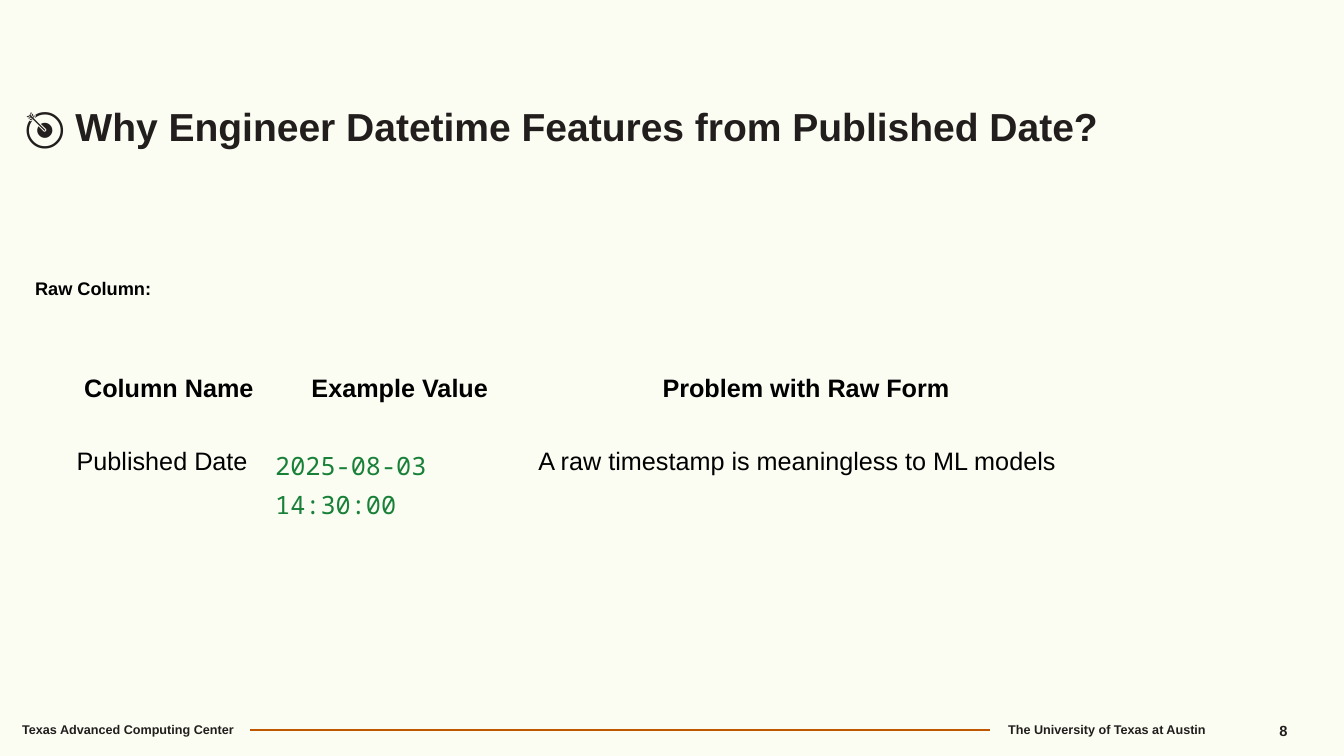
from dataclasses import dataclass

from lxml import etree
from pptx import Presentation
from pptx import util as u
from pptx.dml.color import RGBColor
from pptx.enum import shapes, text
from pptx.oxml import ns


@dataclass(frozen=True)
class Theme:
    background: str = "FBFDF2"
    ink: str = "221E1D"
    black: str = "000000"
    code: str = "188038"
    accent: str = "BF5700"
    font: str = "Arial"
    mono: str = "Noto Sans Mono"
    title_size: float = 27.9
    table_size: float = 18
    label_size: float = 13
    number_size: float = 10.5
    footer_size: float = 9


THEME = Theme()
NO_GRID_STYLE = "{2D5ABB26-0587-4C30-8999-92F81FD0307C}"


def write(frame, words, size, color, bold=True, font=THEME.font,
          align=text.PP_ALIGN.LEFT, spacing=1.0, before=0, after=0):
    """Fill a text frame with one formatted paragraph."""
    frame.text = words
    para = frame.paragraphs[0]
    para.alignment = align
    para.line_spacing = spacing
    para.space_before, para.space_after = u.Pt(before), u.Pt(after)
    for span in para.runs:
        span.font.name = font
        span.font.size = u.Pt(size)
        span.font.bold = bold
        span.font.color.rgb = RGBColor.from_string(color)


def set_frame(frame, insets, anchor):
    frame.word_wrap = True
    frame.auto_size = text.MSO_AUTO_SIZE.NONE
    frame.vertical_anchor = anchor
    (frame.margin_left, frame.margin_top,
     frame.margin_right, frame.margin_bottom) = map(u.Inches, insets)


def add_title(page, words):
    title = page.shapes.title
    title.left, title.top = u.Inches(0.25), u.Inches(0.63)
    title.width, title.height = u.Inches(11.33), u.Inches(1.33)
    set_frame(title.text_frame, (0, 0.05, 0.1, 0.48), text.MSO_ANCHOR.BOTTOM)
    write(title.text_frame, words, THEME.title_size, THEME.ink, before=10)


def add_label(page, words, place, size, color, insets=(0, 0, 0, 0),
              anchor=text.MSO_ANCHOR.MIDDLE, **style):
    box = page.shapes.add_textbox(*map(u.Inches, place))
    set_frame(box.text_frame, insets, anchor)
    write(box.text_frame, words, size, color, **style)


def add_rule(page, left, right, top):
    line = page.shapes.add_connector(
        shapes.MSO_CONNECTOR.STRAIGHT,
        u.Inches(left), u.Inches(top), u.Inches(right), u.Inches(top))
    line.line.color.rgb = RGBColor.from_string(THEME.accent)
    line.line.width = u.Pt(1.25)
    etree.SubElement(line._element.spPr, ns.qn("a:effectLst"))


def add_table(page, rows, left, top, widths, heights):
    """Add a table without grid: centred bold header, plain body."""
    frame = page.shapes.add_table(
        len(rows), len(widths), u.Inches(left), u.Inches(top),
        u.Inches(sum(widths)), u.Inches(sum(heights)))
    table = frame.table
    table.horz_banding = False
    table._tbl.tblPr.find(ns.qn("a:tableStyleId")).text = NO_GRID_STYLE
    for column, width in zip(table.columns, widths):
        column.width = u.Inches(width)
    for row, height in zip(table.rows, heights):
        row.height = u.Inches(height)

    for r, values in enumerate(rows):
        header = r == 0
        for c, value in enumerate(values):
            cell = table.cell(r, c)
            cell.fill.background()
            cell.margin_left = cell.margin_right = u.Inches(0.07)
            cell.margin_top = cell.margin_bottom = u.Inches(0.07)
            timestamp = c == 1 and not header
            write(cell.text_frame, value, THEME.table_size,
                  THEME.code if timestamp else THEME.black, bold=header,
                  font=THEME.mono if timestamp else THEME.font,
                  align=text.PP_ALIGN.CENTER if header else text.PP_ALIGN.LEFT,
                  spacing=1.15)


def add_footer(page):
    add_label(page, "Texas Advanced Computing Center", (0.22, 7.14, 2.52, 0.17),
              THEME.footer_size, THEME.ink, spacing=1.1)
    add_rule(page, 2.48, 9.82, 7.24)
    add_label(page, "The University of Texas at Austin", (10, 7.15, 2.06, 0.15),
              THEME.footer_size, THEME.ink, spacing=1.1)
    add_label(page, "8", (12.59, 7.09, 0.52, 0.3), THEME.number_size, THEME.ink,
              insets=(0.1, 0.05, 0.1, 0.05), anchor=text.MSO_ANCHOR.TOP,
              spacing=1.1)


def main():
    deck = Presentation()
    deck.slide_width, deck.slide_height = u.Inches(13.33), u.Inches(7.5)
    page = deck.slides.add_slide(deck.slide_layouts.get_by_name("Title Only"))
    page.background.fill.solid()
    page.background.fill.fore_color.rgb = RGBColor.from_string(THEME.background)

    # Footer line, then heading
    add_footer(page)
    add_title(page, "🎯 Why Engineer Datetime Features from Published Date?")

    # Raw column and its problem
    add_table(page, [
        ("Column Name", "Example Value", "Problem with Raw Form"),
        ("Published Date", "2025-08-03 14:30:00",
         "A raw timestamp is meaningless to ML models"),
    ], 0.69, 3.61, (1.97, 2.61, 5.45), (0.72, 1.15))
    add_label(page, "Raw Column:", (0.25, 2.07, 10.2, 1.54),
              THEME.label_size, THEME.black, insets=(0.1, 0.1, 0.1, 0.1),
              spacing=1.15, before=14, after=4)

    deck.save("out.pptx")


if __name__ == "__main__":
    main()
